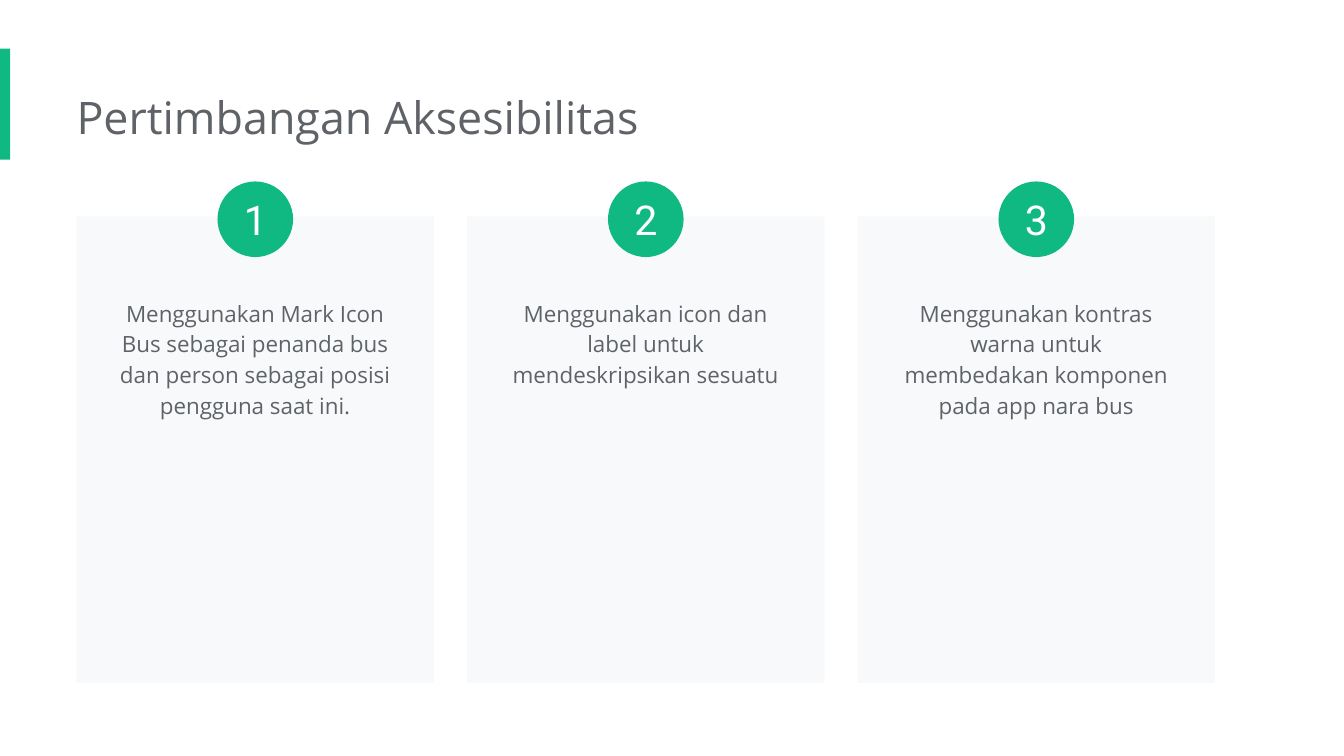
"""Build the accessibility considerations slide with three numbered cards."""
from pptx import Presentation
from pptx.dml.color import RGBColor
from pptx.enum.shapes import MSO_SHAPE
from pptx.enum.text import MSO_ANCHOR, PP_ALIGN
from pptx.util import Pt

RECTANGLE, OVAL = MSO_SHAPE.RECTANGLE, MSO_SHAPE.OVAL
TOP, MIDDLE = MSO_ANCHOR.TOP, MSO_ANCHOR.MIDDLE
LEFT, CENTER = PP_ALIGN.LEFT, PP_ALIGN.CENTER

TITLE = "Pertimbangan Aksesibilitas"
CONSIDERATIONS = [
    "Menggunakan Mark Icon Bus sebagai penanda bus dan person sebagai posisi pengguna saat ini.",
    "Menggunakan icon dan label untuk mendeskripsikan sesuatu",
    "Menggunakan kontras warna untuk membedakan komponen pada app nara bus",
]
COLORS = {"accent": "10B981", "card": "F8F9FA", "text": "5F6368", "number": "FFFFFF"}

MARGIN, CARD_TOP, CARD_WIDTH, CARD_HEIGHT = 41, 115.9, 191.5, 250
CARD_STEP = 209.2
BODY_TOP, BODY_WIDTH, BODY_HEIGHT = 151.2, 161.3, 81.4
BADGE_TOP, BADGE_SIZE = 97.2, 40.5


def add_block(slide, kind, left, top, width, height, color):
    shape = slide.shapes.add_shape(kind, Pt(left), Pt(top), Pt(width), Pt(height))
    shape.shadow.inherit = False
    shape.fill.solid()
    shape.fill.fore_color.rgb = RGBColor.from_string(COLORS[color])
    shape.line.fill.background()
    return shape


def write(shape, text, size, font, color, align, anchor, insets):
    frame = shape.text_frame
    frame.word_wrap = True
    frame.vertical_anchor = anchor
    frame.margin_left, frame.margin_top, frame.margin_right, frame.margin_bottom = map(Pt, insets)
    paragraph = frame.paragraphs[0]
    paragraph.text = text
    paragraph.alignment = align
    paragraph.font.size = Pt(size)
    paragraph.font.name = font
    paragraph.font.color.rgb = RGBColor.from_string(COLORS[color])
    return paragraph


def main():
    deck = Presentation()
    deck.slide_width, deck.slide_height = Pt(720), Pt(405)
    slide = deck.slides.add_slide(deck.slide_layouts[5])

    add_block(slide, RECTANGLE, 0, 26, 5.5, 59.5, "accent")
    title = slide.shapes.title
    title.left, title.top, title.width, title.height = Pt(MARGIN), Pt(41), Pt(551.5), Pt(44)
    write(title, TITLE, 24, "Open Sans", "text", LEFT, TOP, (0, 7.2, 7.2, 7.2))

    for index, text in enumerate(CONSIDERATIONS):
        left = MARGIN + index * CARD_STEP
        center = left + CARD_WIDTH / 2
        add_block(slide, RECTANGLE, left, CARD_TOP, CARD_WIDTH, CARD_HEIGHT, "card")
        body = slide.shapes.add_textbox(
            Pt(center - BODY_WIDTH / 2), Pt(BODY_TOP), Pt(BODY_WIDTH), Pt(BODY_HEIGHT))
        paragraph = write(body, text, 12, "Open Sans", "text", CENTER, TOP, (7.2,) * 4)
        paragraph.line_spacing = 1.15
        badge = add_block(slide, OVAL, center - BADGE_SIZE / 2, BADGE_TOP,
                          BADGE_SIZE, BADGE_SIZE, "accent")
        write(badge, str(index + 1), 22, "Roboto", "number", CENTER, MIDDLE, (0,) * 4)

    deck.save("out.pptx")


if __name__ == "__main__":
    main()
